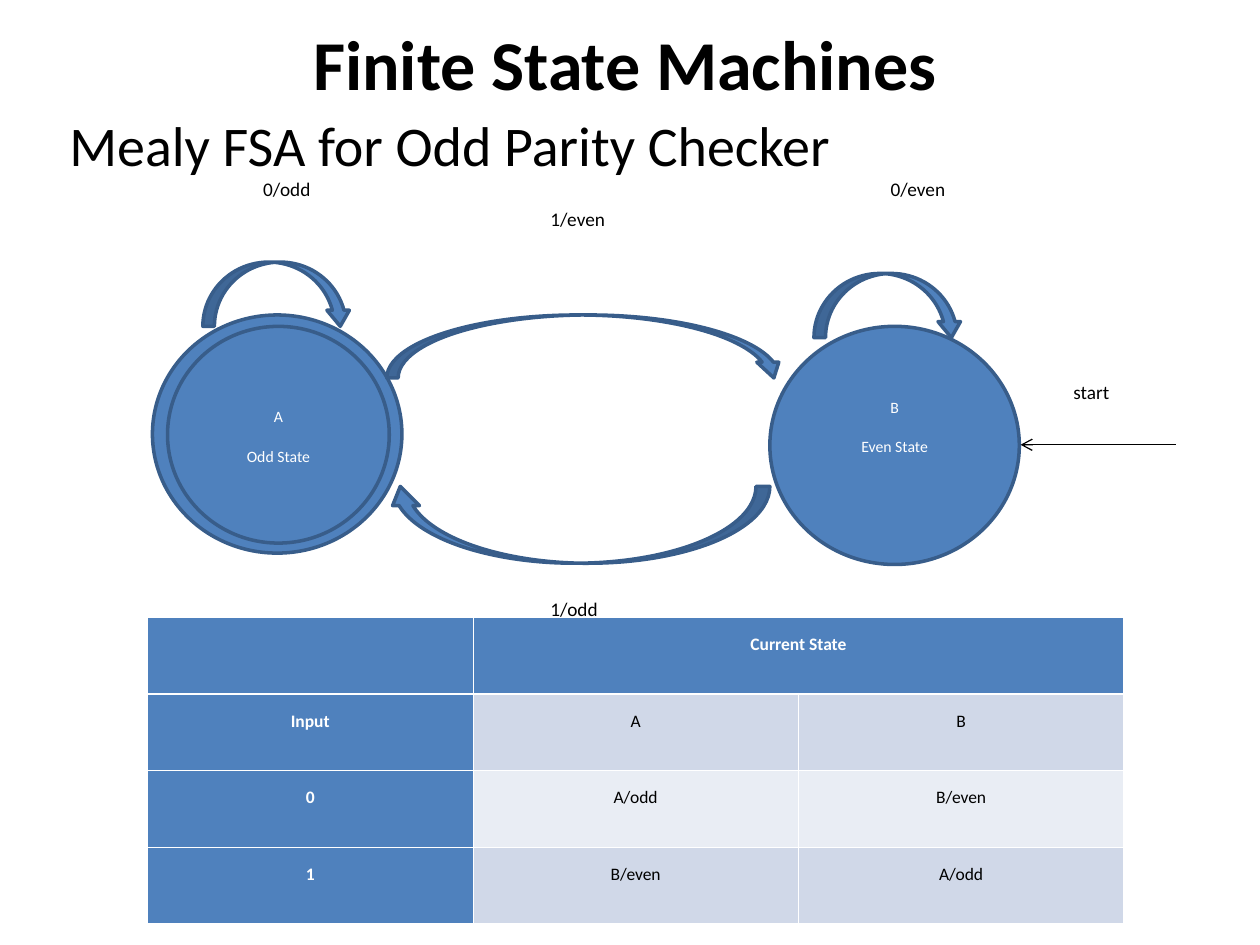
from dataclasses import dataclass

from lxml import etree
from pptx import Presentation
from pptx.dml.color import RGBColor
from pptx.enum import shapes, text
from pptx.oxml import ns
from pptx.util import Inches, Pt


@dataclass(frozen=True)
class Theme:
    font: str = "Calibri"
    black: str = "000000"
    white: str = "FFFFFF"
    blue: str = "4F81BD"
    outline: str = "385D8A"
    band_dark: str = "D0D8E8"
    band_light: str = "E9EDF4"
    title: float = 40
    subtitle: float = 32
    label: float = 11
    cell: float = 10
    state: float = 9
    outline_width: float = 2
    border: float = 0.45
    header_border: float = 1.47


THEME = Theme()


@dataclass(frozen=True)
class Area:
    left: float
    top: float
    width: float
    height: float

    def lengths(self):
        return [Inches(n) for n in (self.left, self.top, self.width, self.height)]


@dataclass(frozen=True)
class State:
    area: Area
    words: str = ""
    bottom_inset: float = 0.05


@dataclass(frozen=True)
class Transition:
    area: Area
    rotation: float = 0


@dataclass(frozen=True)
class Label:
    words: str
    area: Area


STATES = [
    State(Area(1.21, 2.5, 1.98, 1.89)),
    State(Area(1.33, 2.59, 1.76, 1.72), "A\nOdd State"),
    State(Area(6.11, 2.59, 1.98, 1.89), "B\nEven State", 0.37),
]
TRANSITIONS = [
    Transition(Area(1.61, 2.08, 1.18, 0.51)),
    Transition(Area(6.46, 2.17, 1.18, 0.51)),
    Transition(Area(3.07, 2.5, 3.16, 0.5)),
    Transition(Area(3.07, 3.86, 3.04, 0.61), 180),
]
LABELS = [
    Label("1/even", Area(4.27, 1.57, 1.1, 0.6)),
    Label("1/odd", Area(4.27, 4.66, 1.1, 0.59)),
    Label("start", Area(8.42, 2.94, 0.79, 0.59)),
    Label("0/even", Area(6.97, 1.33, 1.27, 0.59)),
    Label("0/odd", Area(1.99, 1.33, 0.9, 0.59)),
]
TABLE_AREA = Area(1.17, 4.9, 7.75, 2.43)
TABLE_ROWS = [
    ["", "Current State", ""],
    ["Input", "A", "B"],
    ["0", "A/odd", "B/even"],
    ["1", "B/even", "A/odd"],
]


def format_text(frame, size: float, colour: str, align, bold: bool = False,
                line_spacing: float = 1, after: float = 0) -> None:
    for para in frame.paragraphs:
        para.alignment = align
        para.line_spacing = line_spacing
        para.space_after = Pt(after)
        for span in para.runs:
            span.font.name = THEME.font
            span.font.size = Pt(size)
            span.font.bold = bold
            span.font.color.rgb = RGBColor.from_string(colour)


def fill_placeholder(box, area: Area, words: str, size: float, align, bold: bool = False) -> None:
    box.left, box.top, box.width, box.height = area.lengths()
    frame = box.text_frame
    frame.text = words
    frame.word_wrap = True
    frame.auto_size = text.MSO_AUTO_SIZE.NONE
    format_text(frame, size, THEME.black, align, bold)


def draw_shape(page, kind, area: Area, fill: str, outline: str = ""):
    shape = page.shapes.add_shape(kind, *area.lengths())
    shape.shadow.inherit = False
    shape.fill.solid()
    shape.fill.fore_color.rgb = RGBColor.from_string(fill)
    if outline:
        shape.line.color.rgb = RGBColor.from_string(outline)
        shape.line.width = Pt(THEME.outline_width)
    else:
        shape.line.fill.background()
    return shape


def draw_state(page, state: State) -> None:
    circle = draw_shape(page, shapes.MSO_SHAPE.OVAL, state.area, THEME.blue, THEME.outline)
    if state.words:
        frame = circle.text_frame
        frame.text = state.words
        frame.vertical_anchor = text.MSO_ANCHOR.MIDDLE
        frame.margin_bottom = Inches(state.bottom_inset)
        format_text(frame, THEME.state, THEME.white, text.PP_ALIGN.CENTER,
                    line_spacing=1.15, after=10)


def draw_transition(page, transition: Transition) -> None:
    arrow = draw_shape(page, shapes.MSO_SHAPE.CURVED_DOWN_ARROW, transition.area,
                       THEME.blue, THEME.outline)
    arrow.rotation = transition.rotation
    for index, ratio in enumerate((0.18, 0.35, 0.25)):
        arrow.adjustments[index] = ratio


def draw_label(page, label: Label) -> None:
    box = draw_shape(page, shapes.MSO_SHAPE.RECTANGLE, label.area, THEME.white)
    box.text_frame.text = label.words
    box.text_frame.vertical_anchor = text.MSO_ANCHOR.TOP
    format_text(box.text_frame, THEME.label, THEME.black, text.PP_ALIGN.LEFT,
                line_spacing=1.15, after=10)


def draw_start_arrow(page) -> None:
    arrow = page.shapes.add_connector(shapes.MSO_CONNECTOR.STRAIGHT, Inches(9.33), Inches(3.53),
                                      Inches(8.1), Inches(3.53))
    arrow.line.color.rgb = RGBColor.from_string(THEME.black)
    arrow.line.width = Pt(0.75)
    etree.SubElement(arrow.line._get_or_add_ln(), ns.qn("a:tailEnd"), type="arrow")
    etree.SubElement(arrow._element.spPr, ns.qn("a:effectLst"))


def set_borders(cell, row: int) -> None:
    properties = cell._tc.get_or_add_tcPr()
    heavy_side = {0: "lnB", 1: "lnT"}.get(row)
    for side in ("lnL", "lnR", "lnT", "lnB"):
        width = THEME.header_border if side == heavy_side else THEME.border
        line = etree.SubElement(properties, ns.qn(f"a:{side}"), w=str(int(Pt(width))))
        fill = etree.SubElement(line, ns.qn("a:solidFill"))
        etree.SubElement(fill, ns.qn("a:srgbClr"), val=THEME.white)


def draw_table(page) -> None:
    table = page.shapes.add_table(len(TABLE_ROWS), len(TABLE_ROWS[0]), *TABLE_AREA.lengths()).table
    for row, values in enumerate(TABLE_ROWS):
        for column, words in enumerate(values):
            cell = table.cell(row, column)
            heading = row == 0 or column == 0
            band = THEME.band_dark if row % 2 else THEME.band_light
            set_borders(cell, row)
            cell.fill.solid()
            cell.fill.fore_color.rgb = RGBColor.from_string(THEME.blue if heading else band)
            cell.margin_left = cell.margin_right = Inches(0.08)
            cell.text_frame.text = words
            format_text(cell.text_frame, THEME.cell, THEME.white if heading else THEME.black,
                        text.PP_ALIGN.CENTER, heading, line_spacing=1.5)
    table.cell(0, 1).merge(table.cell(0, 2))


def main() -> None:
    deck = Presentation()
    deck.slide_width, deck.slide_height = Inches(10), Inches(7.5)
    page = deck.slides.add_slide(deck.slide_layouts[0])
    title, subtitle = page.placeholders
    fill_placeholder(title, Area(0, 0.14, 9.92, 1.44), "Finite State Machines",
                     THEME.title, text.PP_ALIGN.CENTER, True)
    title.text_frame.vertical_anchor = text.MSO_ANCHOR.MIDDLE
    title.text_frame.paragraphs[0].add_line_break()
    fill_placeholder(subtitle, Area(0.45, 0.83, 9.17, 5.92), "Mealy FSA for Odd Parity Checker",
                     THEME.subtitle, text.PP_ALIGN.LEFT)
    subtitle.text_frame.paragraphs[0].space_before = Pt(8)
    for state in STATES:
        draw_state(page, state)
    for transition in TRANSITIONS:
        draw_transition(page, transition)
    for label in LABELS:
        draw_label(page, label)
    draw_start_arrow(page)
    draw_table(page)
    deck.save("out.pptx")


if __name__ == "__main__":
    main()
